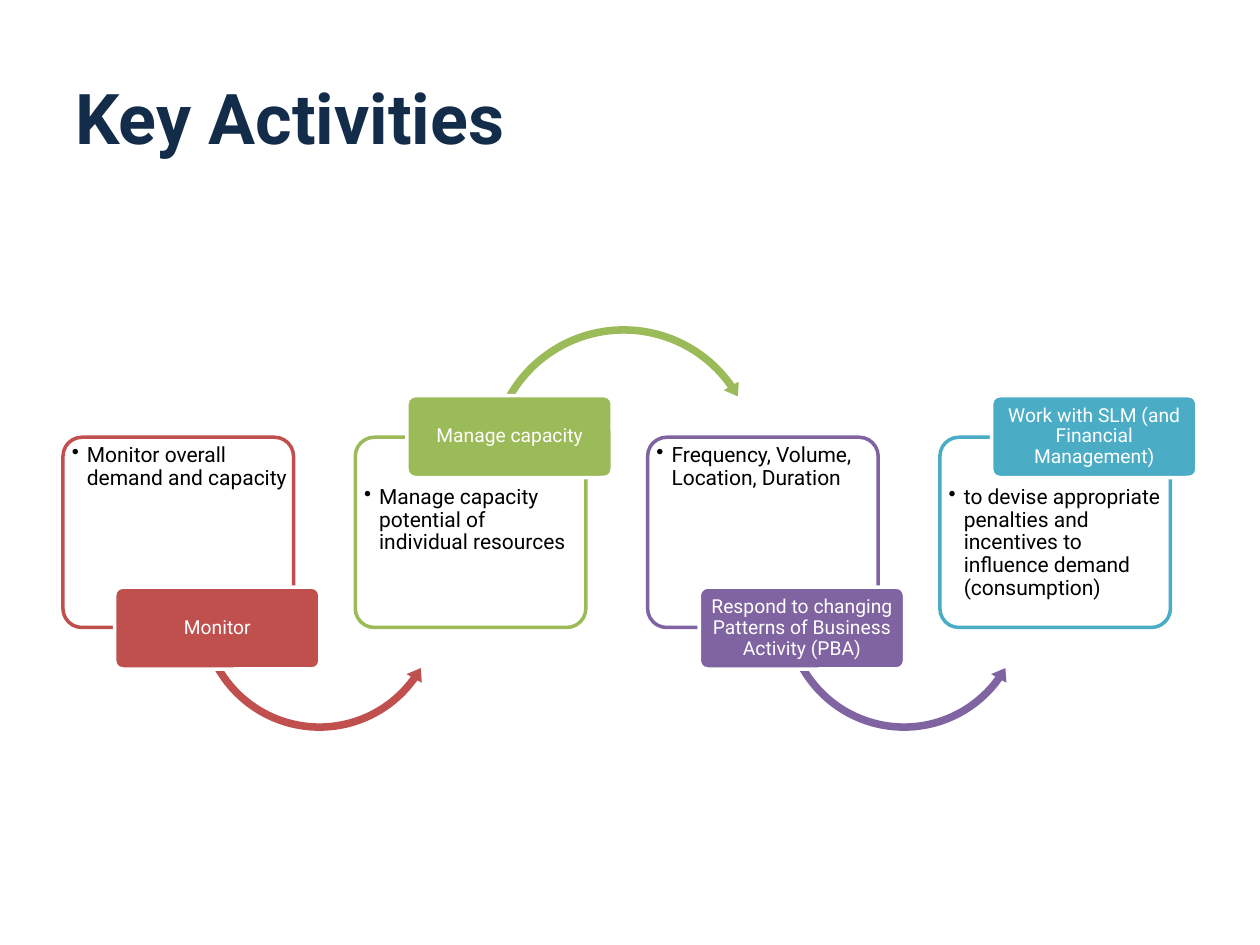
from dataclasses import dataclass

from lxml import etree
from pptx import Presentation
from pptx.dml.color import RGBColor
from pptx.enum import shapes, text
from pptx.oxml.ns import qn
from pptx.util import Inches, Pt

FONT = "Roboto"
HUES = {
    "navy": "132C4A", "black": "000000", "white": "FFFFFF", "red": "C0504D",
    "green": "9BBB59", "purple": "8064A2", "teal": "4BACC6",
}
KIND = shapes.MSO_SHAPE
LEFT, PITCH = 0.5, 2.32


@dataclass
class Step:
    label: str
    body: str
    hue: str
    arrow: bool = True


@dataclass
class Side:
    """Heights and arrow form for a step with its label above or below."""
    label: float
    body: float
    kind: shapes.MSO_SHAPE
    shift: float
    top: float
    size: float
    width: float  # share of arrow size, percent
    angles: tuple[float, float, float]  # head, end and start, degrees
    head: float  # share of arrow size, percent


LOW = Side(4.66, 3.5, KIND.LEFT_CIRCULAR_ARROW, 1.04, 3.85, 1.99,
           3, (6.06, 35.65, 150.41), 3.5)
HIGH = Side(3.14, 3.83, KIND.CIRCULAR_ARROW, 1.02, 2.55, 2.22,
            2.7, (5.38, 325.03, 209.59), 3.1)

STEPS = [
    Step("Monitor", "Monitor overall demand and capacity", "red"),
    Step("Manage capacity",
         "Manage capacity potential of individual resources", "green"),
    Step("Respond to changing Patterns of Business Activity (PBA)",
         "Frequency, Volume, Location, Duration", "purple"),
    Step("Work with SLM (and Financial Management)",
         "to devise appropriate penalties and incentives to influence "
         "demand (consumption)", "teal", arrow=False),
]


def color(hue: str) -> RGBColor:
    return RGBColor.from_string(HUES[hue])


def add_shape(slide, kind, box: tuple, fill: str, line: str | None = None):
    shape = slide.shapes.add_shape(kind, *map(Inches, box))
    shape.shadow.inherit = False
    shape.fill.solid()
    shape.fill.fore_color.rgb = color(fill)
    if line:
        shape.line.color.rgb = color(line)
        shape.line.width = Pt(2)
    else:
        shape.line.fill.background()
    return shape


def add_card(slide, box: tuple, fill: str, line: str) -> None:
    card = add_shape(slide, KIND.ROUNDED_RECTANGLE, box, fill, line)
    card.adjustments[0] = 0.1


def add_text(slide, box: tuple, words: str, size: int, hue: str,
             inset: float, middle: bool = True, center: bool = False,
             bullet: bool = False, bold: bool = False):
    frame = slide.shapes.add_textbox(*map(Inches, box)).text_frame
    frame.word_wrap = True
    frame.margin_left = frame.margin_right = Inches(inset)
    frame.margin_top = frame.margin_bottom = Inches(inset)
    anchor = text.MSO_ANCHOR
    frame.vertical_anchor = anchor.MIDDLE if middle else anchor.TOP
    para = frame.paragraphs[0]
    para.text = words
    if center:
        para.alignment = text.PP_ALIGN.CENTER
    if bullet:
        add_bullet(para)
    font = para.font
    font.name, font.size, font.bold = FONT, Pt(size), bold
    font.color.rgb = color(hue)
    return para


def add_bullet(para) -> None:
    props = para._p.get_or_add_pPr()
    props.set("marL", str(Inches(0.12)))
    props.set("indent", str(-Inches(0.12)))
    etree.SubElement(props, qn("a:buChar")).set("char", "•")


def add_arrow(slide, left: float, side: Side, hue: str) -> None:
    box = (left + side.shift, side.top, side.size, side.size)
    arrow = add_shape(slide, side.kind, box, hue)
    # One degree is 60000 units, and an adjustment of 1 is 100000.
    turns = [angle * 0.6 for angle in side.angles]
    values = [side.width / 100, *turns, side.head / 100]
    for spot, value in enumerate(values):
        arrow.adjustments[spot] = value


def add_step(slide, step: Step, left: float, side: Side) -> None:
    add_card(slide, (left, 3.47, 1.83, 1.51), "white", step.hue)
    body = add_text(slide, (left + 0.04, side.body, 1.77, 1.12), step.body,
                    12, "black", 0.03, middle=False, bullet=True)
    body.line_spacing = 0.9
    if step.arrow:
        add_arrow(slide, left, side, step.hue)
    add_card(slide, (left + 0.41, side.label, 1.63, 0.65), step.hue, "white")
    label = add_text(slide, (left + 0.43, side.label + 0.02, 1.59, 0.61),
                     step.label, 11, "white", 0.02, center=True)
    label.line_spacing = 0.9


def main() -> None:
    deck = Presentation()
    deck.slide_width, deck.slide_height = Inches(10), Inches(7.5)
    slide = deck.slides.add_slide(deck.slide_layouts[6])
    add_text(slide, (0.5, 0.3, 9, 1.25), "Key Activities", 40, "navy", 0.1,
             bold=True)
    for spot, step in enumerate(STEPS):
        add_step(slide, step, LEFT + spot * PITCH, HIGH if spot % 2 else LOW)
    deck.save("out.pptx")


if __name__ == "__main__":
    main()
